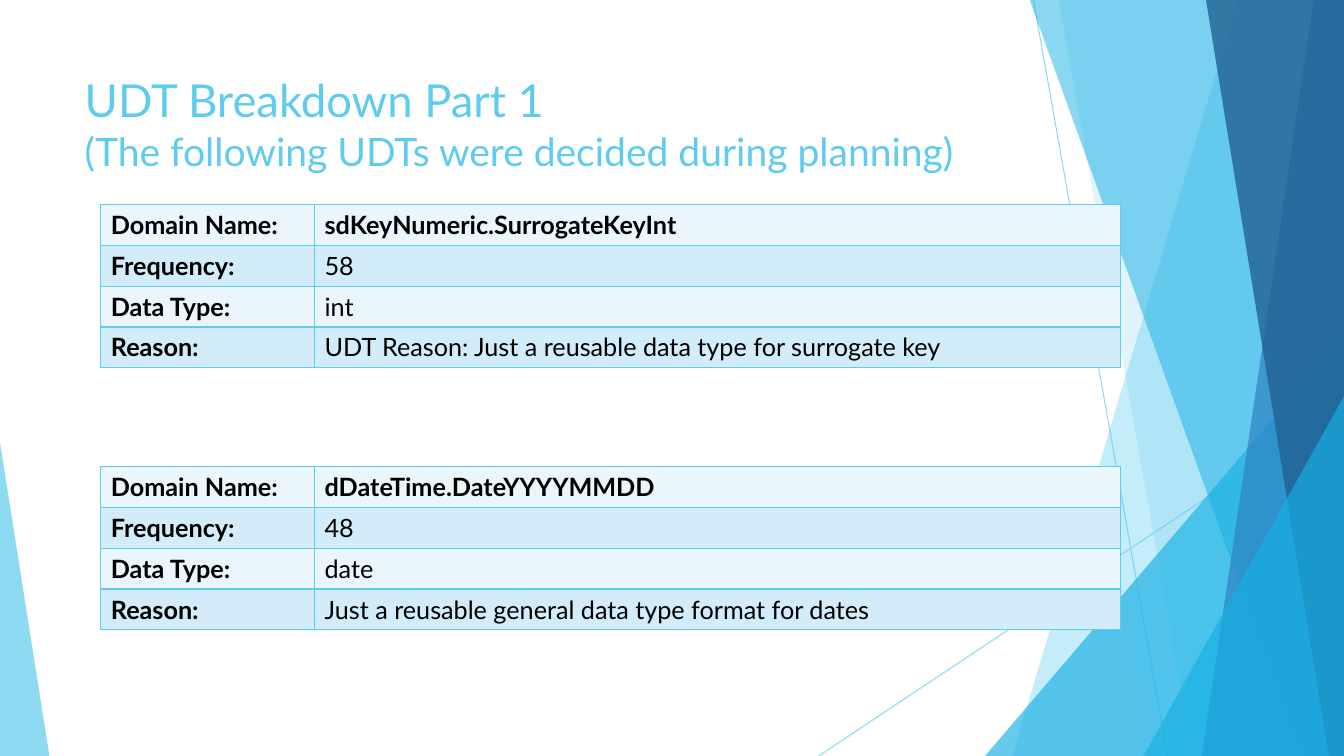
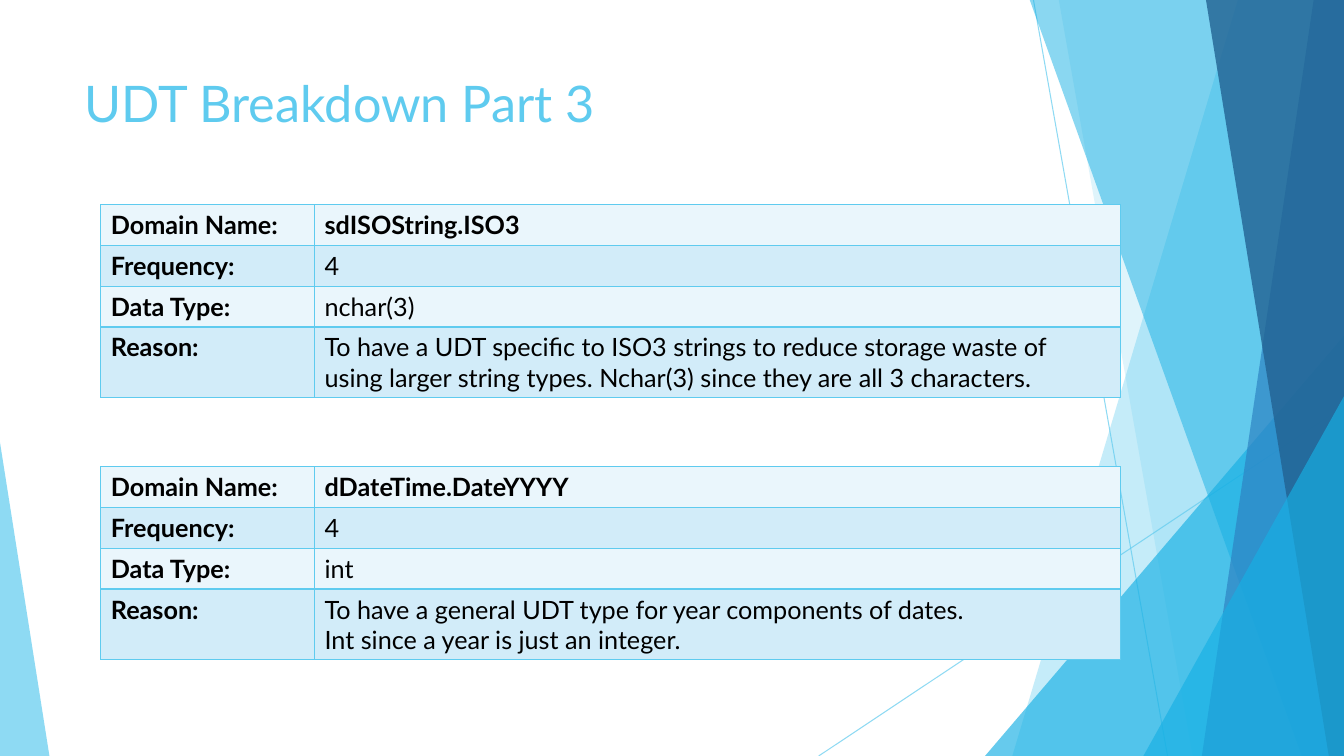
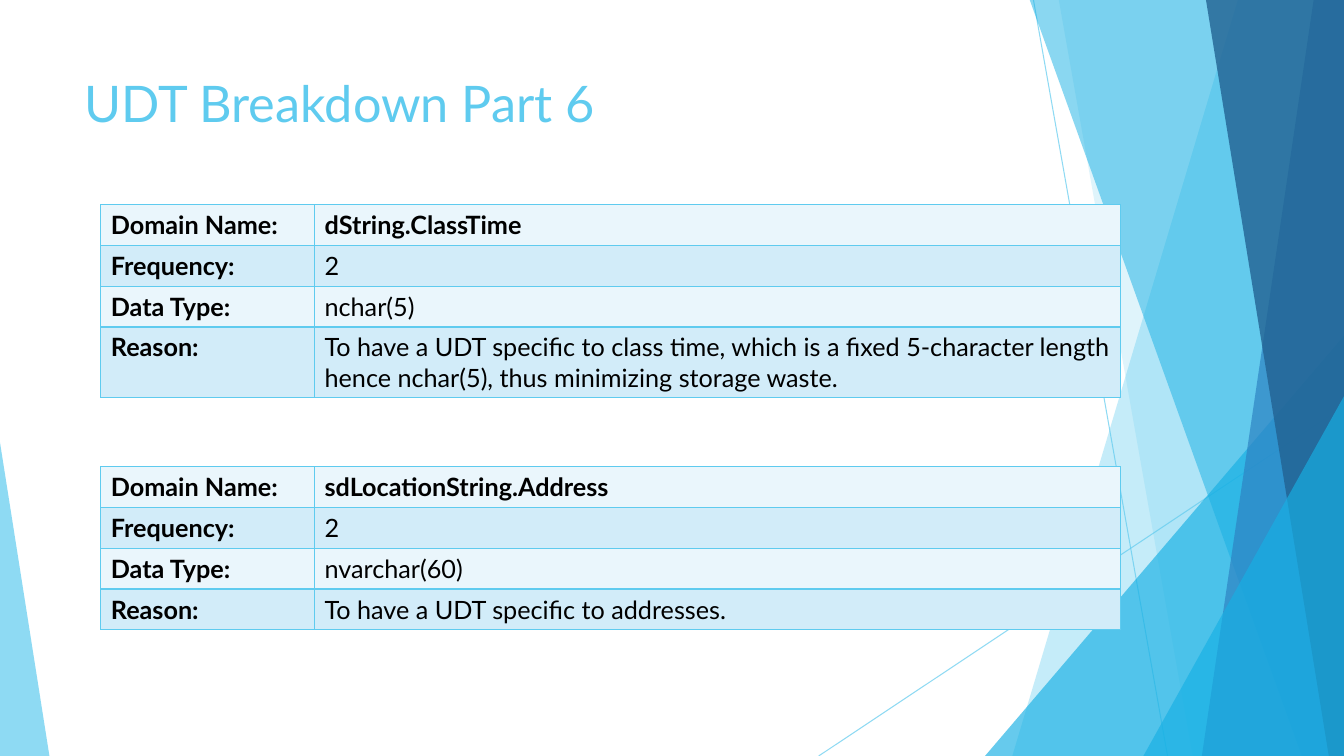
"""Build the UDT breakdown slides."""
from dataclasses import dataclass

from lxml import etree
from pptx import Presentation
from pptx.dml.color import RGBColor
from pptx.enum.shapes import MSO_CONNECTOR, MSO_SHAPE
from pptx.enum.text import MSO_ANCHOR, MSO_AUTO_SIZE, PP_ALIGN
from pptx.oxml.ns import qn
from pptx.util import Inches, Pt

LINE = MSO_CONNECTOR.STRAIGHT
PEAK = MSO_SHAPE.ISOSCELES_TRIANGLE
TOP = MSO_ANCHOR.TOP
FIXED = MSO_AUTO_SIZE.NONE
LEFT = PP_ALIGN.LEFT


@dataclass(frozen=True)
class Theme:
    """Colours, font and type sizes of the deck."""
    sky: str = "5FCBEF"
    cyan: str = "17B0E4"
    blue: str = "2E83C3"
    navy: str = "226292"
    ink: str = "000000"
    pale: str = "EAF6FC"
    tint: str = "D2ECF9"
    font: str = "Lato"
    head: float = 36
    lead: float = 32.4
    sub: float = 27.9
    body: float = 18
    hair: float = 0.75
    rule: float = 1


@dataclass(frozen=True)
class Ray:
    """A thin line from one point to another."""
    start: tuple[float, float]
    end: tuple[float, float]
    color: str
    alpha: int


@dataclass(frozen=True)
class Band:
    """A slanted band that runs to the right edge of the slide."""
    top: float
    foot: float
    color: str
    alpha: int


@dataclass(frozen=True)
class Wedge:
    """A right triangle that stands on the foot of the slide."""
    left: float
    top: float
    width: float
    tip: float
    color: str
    alpha: int


@dataclass(frozen=True)
class Domain:
    """One user-defined type and the facts about it."""
    name: str
    count: str
    kind: str
    reason: str


@dataclass(frozen=True)
class Page:
    """The title lines with their sizes, and the domains of a slide."""
    title: tuple[tuple[str, float], ...]
    domains: tuple[Domain, ...]


T = Theme()
WIDTH, HEIGHT = 13.33, 7.5
RISE = -0.01
LABELS = ("Domain Name:", "Frequency:", "Data Type:", "Reason:")
COLS = (2.12, 7.99)
TABLE_X, TABLE_Y, TABLE_H, STEP = 1, 2.03, 1.62, 2.6

DECOR = (
    Ray((10.25, 0), (11.58, HEIGHT), T.sky, 70),
    Ray((WIDTH, 4.03), (8.12, HEIGHT), T.sky, 70),
    Band(12.28, 10.04, T.sky, 36),
    Band(10.5, 11.83, T.sky, 20),
    Wedge(9.77, 3.33, 3.56, 1, T.cyan, 66),
    Band(10.21, 12.91, T.cyan, 50),
    Band(13.03, 11.92, T.blue, 70),
    Band(11.96, 13.18, T.navy, 80),
    Wedge(11.34, 3.93, 1.99, 1, T.cyan, 66),
    Wedge(0, 4.39, 0.49, 0, T.sky, 70),
)

PAGES = (
    Page(
        (("UDT Breakdown Part 1", T.lead),
         ("(The following UDTs were decided during planning)", T.sub)),
        (Domain("sdKeyNumeric.SurrogateKeyInt", "58", "int",
                "UDT Reason: Just a reusable data type for surrogate key"),
         Domain("dDateTime.DateYYYYMMDD", "48", "date",
                "Just a reusable general data type format for dates")),
    ),
    Page(
        (("UDT Breakdown Part 3", T.head),),
        (Domain("sdISOString.ISO3", "4", "nchar(3)",
                "To have a UDT specific to ISO3 strings to reduce storage "
                "waste of using larger string types. Nchar(3) since they "
                "are all 3 characters."),
         Domain("dDateTime.DateYYYY", "4", "int",
                "To have a general UDT type for year components of dates.\n"
                "Int since a year is just an integer.")),
    ),
    Page(
        (("UDT Breakdown Part 6", T.head),),
        (Domain("dString.ClassTime", "2", "nchar(5)",
                "To have a UDT specific to class time, which is a fixed "
                "5-character length hence nchar(5), thus minimizing "
                "storage waste."),
         Domain("sdLocationString.Address", "2", "nvarchar(60)",
                "To have a UDT specific to addresses.")),
    ),
)


def write(para, text: str, *, size: float = T.body, color: str = T.ink,
          bold: bool = False) -> None:
    """Add text to a paragraph, each line on a line of its own."""
    for line in text.split("\n"):
        if para.runs:
            para.add_line_break()
        run = para.add_run()
        run.text = line
        font = run.font
        font.name, font.size, font.bold = T.font, Pt(size), bold
        font.color.rgb = RGBColor.from_string(color)


def fade(shape, alpha: int) -> None:
    """Make the colours of a shape partly transparent."""
    for color in shape.element.iter(qn("a:srgbClr")):
        etree.SubElement(color, qn("a:alpha")).set("val", str(alpha * 1000))


def paint(shape, color: str, alpha: int) -> None:
    """Give a shape a see-through fill, no line and no shadow."""
    shape.shadow.inherit = False
    shape.fill.solid()
    shape.fill.fore_color.rgb = RGBColor.from_string(color)
    shape.line.fill.background()
    fade(shape, alpha)


def add_ray(shapes, ray: Ray) -> None:
    """Draw a thin line."""
    ends = [Inches(v) for v in ray.start + ray.end]
    line = shapes.add_connector(LINE, *ends)
    line.line.width = Pt(T.hair)
    line.line.color.rgb = RGBColor.from_string(ray.color)
    etree.SubElement(line.element.spPr, qn("a:effectLst"))
    fade(line, ray.alpha)


def add_band(shapes, band: Band) -> None:
    """Draw a slanted band."""
    spots = [(band.top, RISE), (WIDTH, RISE), (WIDTH, HEIGHT),
             (band.foot, HEIGHT)]
    first, *rest = [(Inches(x), Inches(y)) for x, y in spots]
    pen = shapes.build_freeform(*first)
    pen.add_line_segments(rest, close=True)
    paint(pen.convert_to_shape(), band.color, band.alpha)


def add_wedge(shapes, wedge: Wedge) -> None:
    """Draw a right triangle."""
    shape = shapes.add_shape(PEAK, Inches(wedge.left), Inches(wedge.top),
                             Inches(wedge.width), Inches(HEIGHT - wedge.top))
    shape.adjustments[0] = wedge.tip
    paint(shape, wedge.color, wedge.alpha)


def add_decor(slide, layout) -> None:
    """Draw the backdrop once and hand it to the shared layout."""
    tools = {Ray: add_ray, Band: add_band, Wedge: add_wedge}
    group = slide.shapes.add_group_shape()
    for item in DECOR:
        tools[type(item)](group.shapes, item)
    layout.shapes.element.insert(2, group.element)


def add_title(slide, lines: tuple[tuple[str, float], ...]) -> None:
    """Place and fill the title."""
    title = slide.shapes.title
    title.left, title.top = Inches(0.74), Inches(0.67)
    title.width, title.height = Inches(9.4), Inches(1.23)
    frame = title.text_frame
    frame.word_wrap, frame.auto_size = True, FIXED
    frame.vertical_anchor = TOP
    para = frame.paragraphs[0]
    para.alignment = LEFT
    for text, size in lines:
        write(para, text, size=size, color=T.sky)


def add_edges(cell) -> None:
    """Rule all four sides of a cell."""
    props = cell._tc.get_or_add_tcPr()
    for side in ("a:lnL", "a:lnR", "a:lnT", "a:lnB"):
        edge = etree.SubElement(props, qn(side))
        edge.set("w", str(Pt(T.rule)))
        fill = etree.SubElement(edge, qn("a:solidFill"))
        etree.SubElement(fill, qn("a:srgbClr")).set("val", T.sky)


def add_domain(slide, domain: Domain, top: float) -> None:
    """Draw the table of one domain."""
    facts = (domain.name, domain.count, domain.kind, domain.reason)
    table = slide.shapes.add_table(
        len(LABELS), len(COLS), Inches(TABLE_X), Inches(top),
        Inches(sum(COLS)), Inches(TABLE_H)).table
    for col, width in zip(table.columns, COLS):
        col.width = Inches(width)
    for row, pair in enumerate(zip(LABELS, facts)):
        for col, text in enumerate(pair):
            cell = table.cell(row, col)
            add_edges(cell)
            cell.fill.solid()
            cell.fill.fore_color.rgb = RGBColor.from_string(
                T.tint if row % 2 else T.pale)
            write(cell.text_frame.paragraphs[0], text,
                  bold=row == 0 or col == 0)


def main() -> None:
    """Build and save the deck."""
    deck = Presentation()
    deck.slide_width, deck.slide_height = Inches(WIDTH), Inches(HEIGHT)
    layout = deck.slide_layouts.get_by_name("Title Only")
    for index, page in enumerate(PAGES):
        slide = deck.slides.add_slide(layout)
        if index == 0:
            add_decor(slide, layout)
        add_title(slide, page.title)
        for place, domain in enumerate(page.domains):
            add_domain(slide, domain, TABLE_Y + place * STEP)
    deck.save("out.pptx")


if __name__ == "__main__":
    main()
